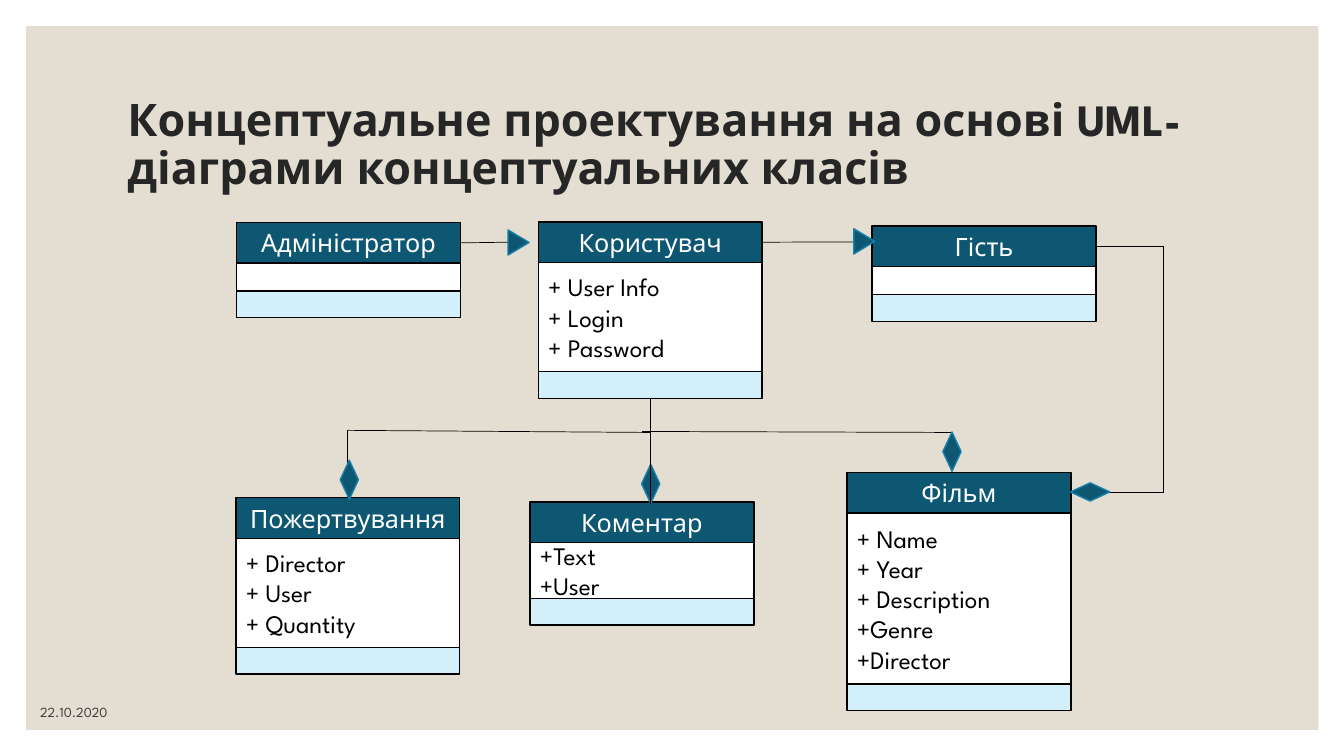
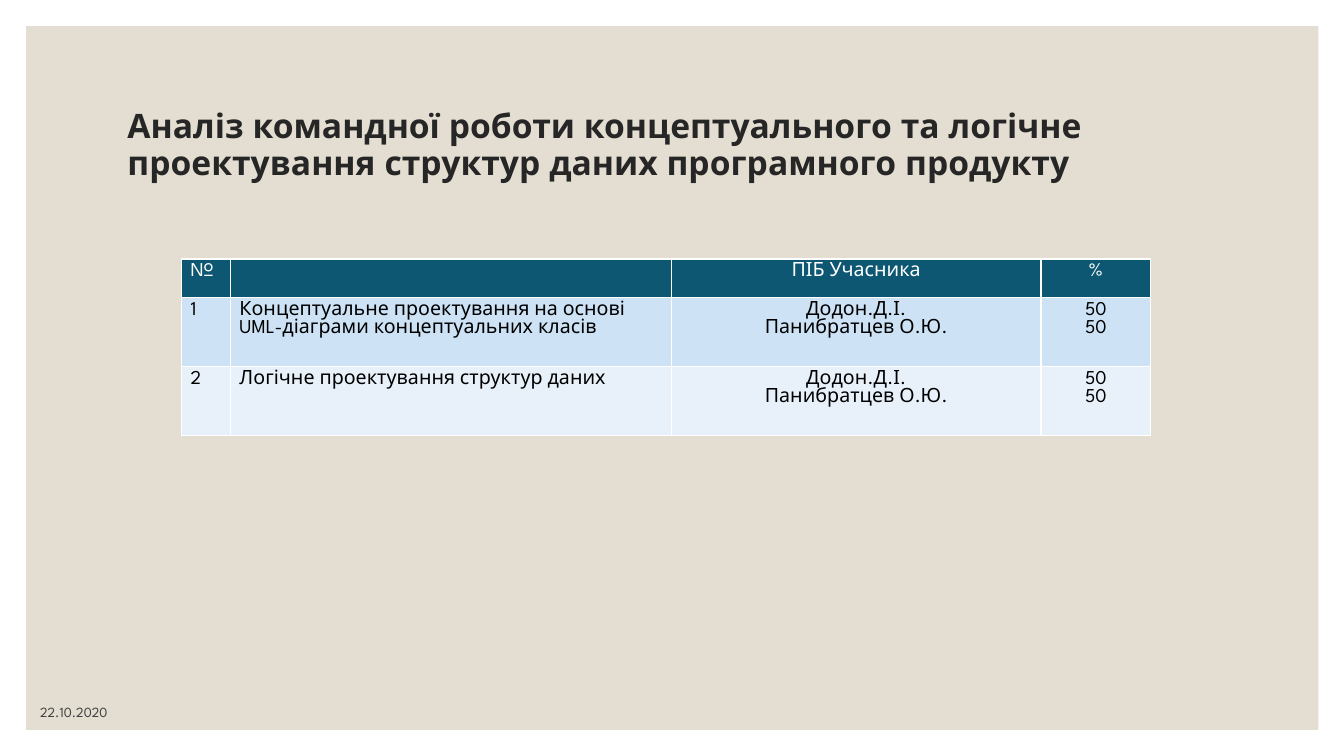
from lxml import etree
from pptx import Presentation
from pptx.dml.color import RGBColor
from pptx.enum import shapes, text
from pptx.oxml import ns
from pptx.util import Pt

FONT = "League Spartan"
SAND = RGBColor(0xE3, 0xDE, 0xD1)
TITLE_INK = RGBColor(0x26, 0x26, 0x26)
DATE_INK = RGBColor(0x40, 0x40, 0x40)
BLACK = RGBColor(0, 0, 0)
WHITE = RGBColor(0xFF, 0xFF, 0xFF)
TEAL = RGBColor(0x0E, 0x57, 0x72)
BLUE = RGBColor(0x15, 0x80, 0xA9)
PALE_BLUE = RGBColor(0xD2, 0xEF, 0xFA)
BAND_FILLS = (RGBColor(0xCD, 0xE3, 0xF5), RGBColor(0xE8, 0xF1, 0xFA))
LEFT, CENTER = text.PP_ALIGN.LEFT, text.PP_ALIGN.CENTER
MIDDLE, BOTTOM = text.MSO_ANCHOR.MIDDLE, text.MSO_ANCHOR.BOTTOM
RECTANGLE = shapes.MSO_SHAPE.RECTANGLE
DIAMOND = shapes.MSO_SHAPE.FLOWCHART_DECISION
TRIANGLE = shapes.MSO_SHAPE.ISOSCELES_TRIANGLE

CLASS_WIDTH, HEADER_HEIGHT, STRIP_HEIGHT = 160, 29, 19
CLASSES = (
    (216.5, 0.5, "Користувач", ("+ User Info", "+ Login", "+ Password"), 78),
    (1, 1, "Адміністратор", (), 20),
    (455, 3.5, "Гість", (), 20),
    (0.5, 197.5, "Пожертвування", ("+ Director", "+ User", "+ Quantity"), 78),
    (437, 179.5, "Фільм",
     ("+ Name", "+ Year", "+ Description", "+Genre", "+Director"), 122),
    (210.5, 200.5, "Коментар", ("+Text", "+User"), 40),
)
LINES = (
    (161, 15.5, 195, 15),
    (376.3, 15, 441.8, 14.8),
    (80.4, 197.7, 80.4, 149.4),
    (80.4, 149.4, 296.4, 150.9),
    (290.6, 150.2, 511.7, 150.9),
    (615.4, 17.7, 662.9, 17.7),
    (662.9, 17.7, 662.9, 194),
    (662.9, 194, 596.6, 194),
)
COMMENT_LINE = (296.4, 126.4, 296.4, 202)
MARKERS = (
    (TRIANGLE, 202.4, 15.2, 18, 15, 90),
    (TRIANGLE, 449.4, 14.4, 18, 15, 90),
    (DIAMOND, 81.5, 184.7, 28, 13, 90),
    (DIAMOND, 296.8, 187.6, 28, 13, 90),
    (DIAMOND, 512, 164.6, 28, 13, 90),
    (DIAMOND, 610.7, 193.4, 28, 13, 0),
)

MEMBERS = "Додон.Д.І.\nПанибратцев О.Ю."
SHARES = "50\n50"
TABLE_SIZE = 14
COLUMN_WIDTHS = (35, 315, 264, 78.5)
ROW_HEIGHTS = (27.4, 49.5, 49.5)
ALIGNMENTS = (LEFT, LEFT, CENTER, CENTER)
ROWS = (
    ("№", "", "ПІБ Учасника", "%"),
    ("1", "Концептуальне проектування на основі UML-діаграми концептуальних класів",
     MEMBERS, SHARES),
    ("2", "Логічне проектування структур даних", MEMBERS, SHARES),
)


def write(frame, content, size, color, alignment=LEFT, bold=False, spacing=None):
    """Fill a text frame and format all its paragraphs alike."""
    frame.text = content
    for paragraph in frame.paragraphs:
        paragraph.alignment = alignment
        paragraph.line_spacing = spacing
        for run in paragraph.runs:
            run.font.name = FONT
            run.font.size = Pt(size)
            run.font.bold = bold
            run.font.color.rgb = color


def add_block(slide, kind, left, top, width, height, fill, line=None):
    """Add a flat preset shape, outlined only if a line colour is given."""
    shape = slide.shapes.add_shape(kind, Pt(left), Pt(top), Pt(width), Pt(height))
    shape.shadow.inherit = False
    shape.fill.solid()
    shape.fill.fore_color.rgb = fill
    if line is None:
        shape.line.fill.background()
    else:
        shape.line.color.rgb = line
        shape.line.width = Pt(1)
    return shape


def add_label(slide, left, top, width, height, anchor, content, **style):
    """Add a wrapping text box."""
    frame = slide.shapes.add_textbox(
        Pt(left), Pt(top), Pt(width), Pt(height)).text_frame
    frame.word_wrap = True
    frame.vertical_anchor = anchor
    write(frame, content, **style)


def add_base_slide(presentation, title, title_size):
    """Add a slide with the sand panel, title and date."""
    slide = presentation.slides.add_slide(presentation.slide_layouts[6])
    add_block(slide, RECTANGLE, 18.7, 18.7, 923, 502.6, SAND)
    add_label(slide, 84, 50.4, 792, 108, MIDDLE, title,
              size=title_size, color=TITLE_INK, bold=True, spacing=0.9)
    add_label(slide, 21.6, 496.8, 216, 21.6, BOTTOM, "22.10.2020",
              size=10, color=DATE_INK)
    return slide


def add_class(slide, left, top, name, attributes, body_height):
    """Stack the name, attribute and operation compartments of a class."""
    compartments = (
        (HEADER_HEIGHT, TEAL, name, WHITE, CENTER),
        (body_height, WHITE, "\n".join(attributes), BLACK, LEFT),
        (STRIP_HEIGHT, PALE_BLUE, "", BLACK, LEFT),
    )
    for height, fill, content, color, alignment in compartments:
        shape = add_block(slide, RECTANGLE, left, top, CLASS_WIDTH, height, fill, BLACK)
        if content:
            shape.text_frame.vertical_anchor = MIDDLE
            write(shape.text_frame, content, 18, color, alignment)
        top += height


def add_line(slide, left, top, start_x, start_y, end_x, end_y):
    """Draw a thin black line between two points of the diagram."""
    connector = slide.shapes.add_connector(
        shapes.MSO_CONNECTOR.STRAIGHT,
        Pt(left + start_x), Pt(top + start_y), Pt(left + end_x), Pt(top + end_y))
    connector.line.color.rgb = BLACK
    connector.line.width = Pt(0.5)
    etree.SubElement(connector.element.spPr, ns.qn("a:effectLst"))


def add_diagram(slide, left, top):
    """Draw the classes and their relations from the given corner."""
    for class_left, class_top, *parts in CLASSES:
        add_class(slide, left + class_left, top + class_top, *parts)
    for line in LINES:
        add_line(slide, left, top, *line)
    for kind, center_x, center_y, width, height, rotation in MARKERS:
        marker = add_block(slide, kind, left + center_x - width / 2,
                           top + center_y - height / 2, width, height, TEAL, BLUE)
        marker.rotation = rotation
    add_line(slide, left, top, *COMMENT_LINE)


def set_borders(cell):
    """Give a cell thin white borders on all sides."""
    properties = cell._tc.get_or_add_tcPr()
    for side in ("a:lnL", "a:lnR", "a:lnT", "a:lnB"):
        border = etree.SubElement(properties, ns.qn(side), w=str(Pt(1)))
        fill = etree.SubElement(border, ns.qn("a:solidFill"))
        etree.SubElement(fill, ns.qn("a:srgbClr"), val=str(WHITE))


def fill_cell(cell, content, fill, alignment):
    """Colour, border and fill one table cell."""
    set_borders(cell)
    cell.fill.solid()
    cell.fill.fore_color.rgb = fill
    cell.margin_left = cell.margin_right = Pt(6.5)
    cell.margin_top = cell.margin_bottom = Pt(3)
    write(cell.text_frame, content, TABLE_SIZE,
          WHITE if fill == TEAL else BLACK, alignment)
    if not content:
        etree.SubElement(cell.text_frame.paragraphs[0]._p, ns.qn("a:endParaRPr"),
                         sz=str(TABLE_SIZE * 100))


def add_team_table(slide, left, top):
    """Add the table of tasks, members and shares."""
    table = slide.shapes.add_table(
        len(ROWS), len(COLUMN_WIDTHS), Pt(left), Pt(top),
        Pt(sum(COLUMN_WIDTHS)), Pt(sum(ROW_HEIGHTS))).table
    table.first_row = table.horz_banding = False
    for column, width in zip(table.columns, COLUMN_WIDTHS):
        column.width = Pt(width)
    for row, height, contents, fill in zip(
            table.rows, ROW_HEIGHTS, ROWS, (TEAL, *BAND_FILLS)):
        row.height = Pt(height)
        for cell, content, alignment in zip(row.cells, contents, ALIGNMENTS):
            fill_cell(cell, content, fill, alignment)


def main():
    """Build and save the presentation."""
    presentation = Presentation()
    presentation.slide_width = Pt(960)
    presentation.slide_height = Pt(540)
    slide = add_base_slide(
        presentation,
        "Концептуальне проектування на основі UML-діаграми концептуальних класів", 32)
    add_diagram(slide, 168, 158)
    slide = add_base_slide(
        presentation,
        "Аналіз командної роботи концептуального та логічне проектування "
        "структур даних програмного продукту", 24)
    add_team_table(slide, 129.6, 185)
    presentation.save("out.pptx")


if __name__ == "__main__":
    main()
